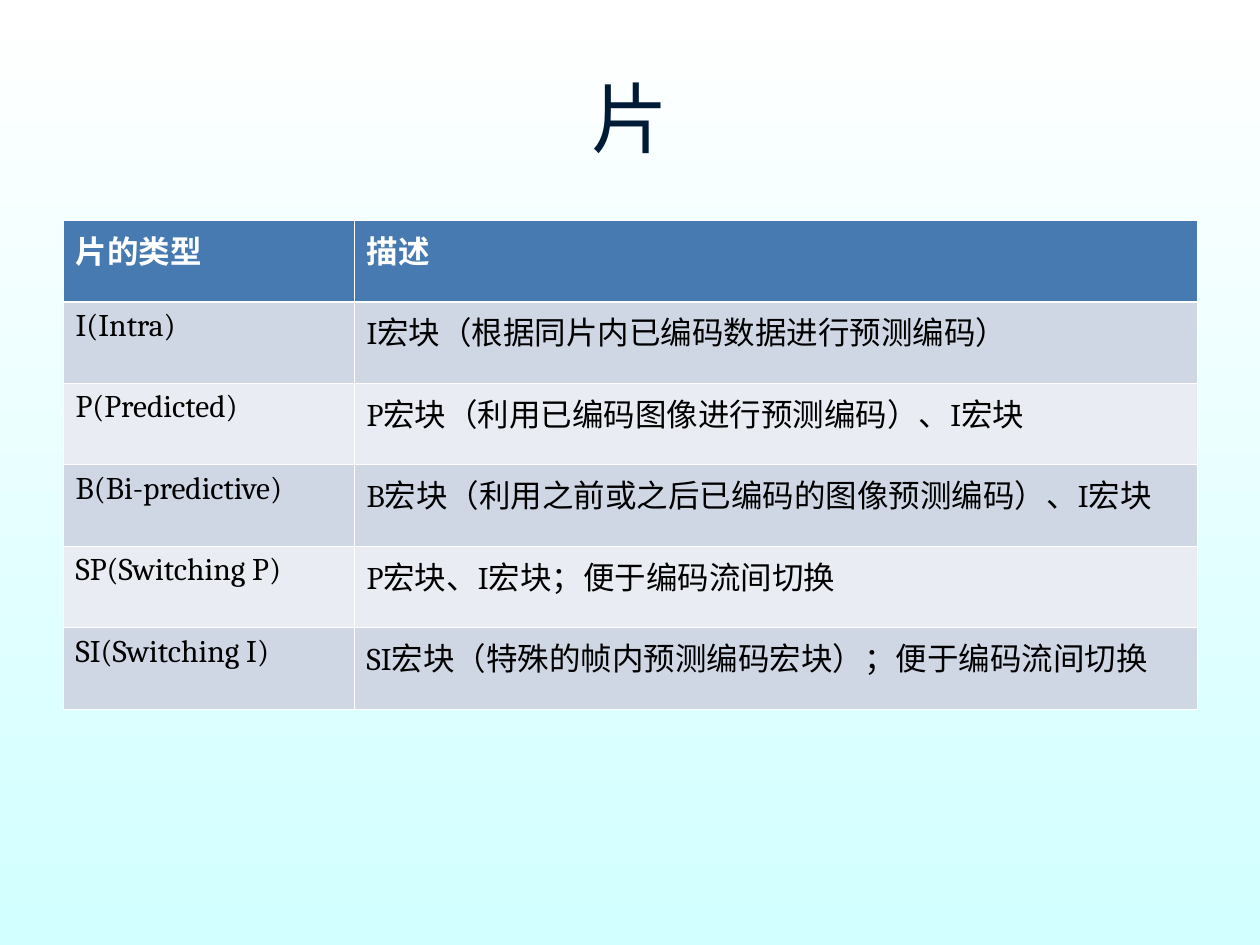
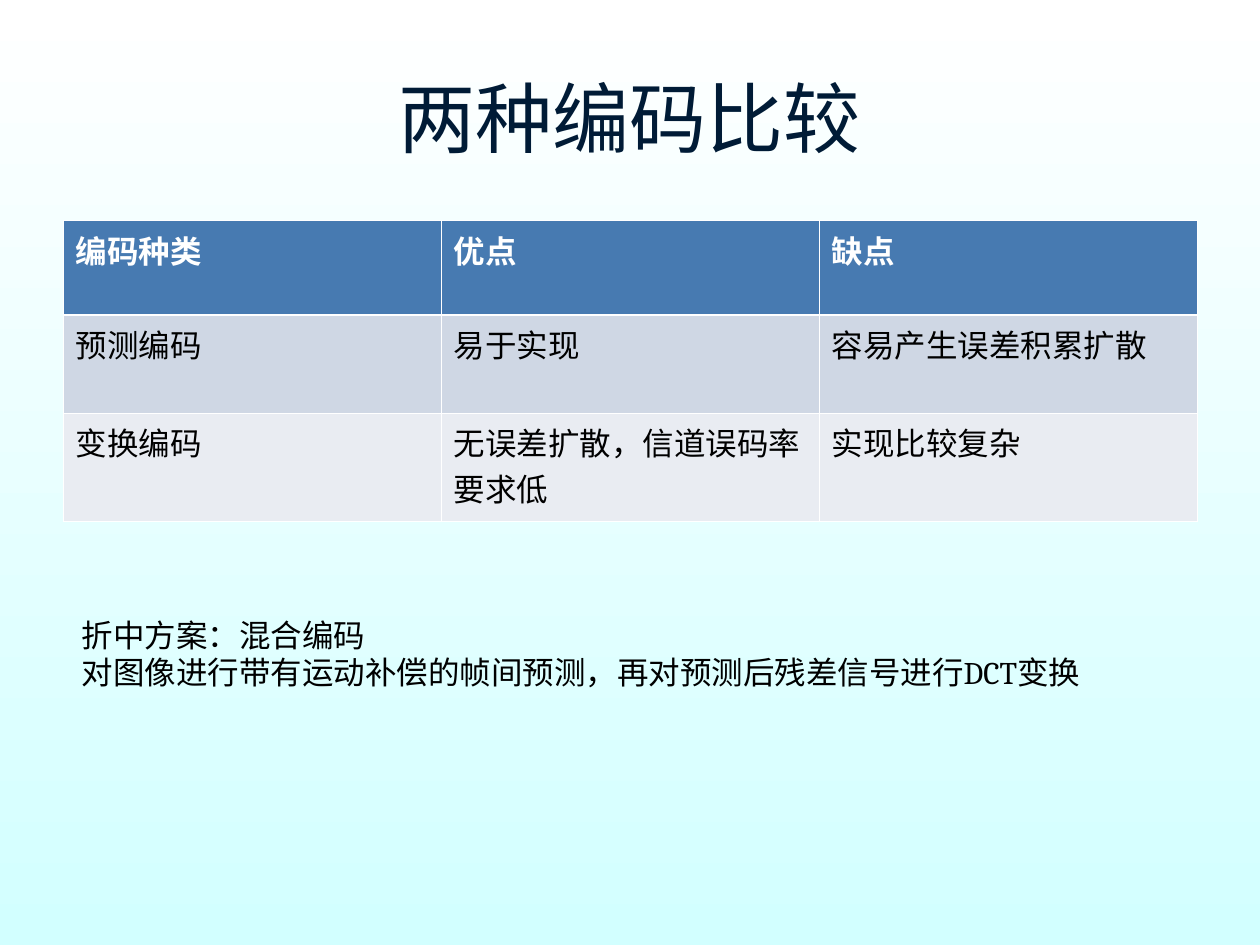
from lxml.etree import SubElement
from pptx import Presentation
from pptx.dml.color import RGBColor
from pptx.enum.text import MSO_ANCHOR, PP_ALIGN
from pptx.oxml.ns import qn
from pptx.util import Inches, Pt

# Shared look
WHITE = RGBColor(0xFF, 0xFF, 0xFF)
BLACK = RGBColor(0, 0, 0)
NAVY = RGBColor(0x00, 0x1B, 0x36)
BLUE = RGBColor(0x47, 0x7A, 0xB1)
BANDS = (RGBColor(0xCF, 0xD7, 0xE4), RGBColor(0xE9, 0xEC, 0xF2))
AQUA = RGBColor(0xD2, 0xFF, 0xFF)
HEAD, BODY = "Lato", "Cambria"
WIDE, HIGH = Inches(10), Inches(7.5)
EDGE, SPAN = 0.05, 0.9  # side margin and content width, shares of the slide
TOP = 0.233  # top of every table
THIN, THICK = Pt(0.45), Pt(1.47)

# Table contents
SLICES = [
    ("片的类型", "描述"),
    ("I(Intra)", "I宏块（根据同片内已编码数据进行预测编码）"),
    ("P(Predicted)", "P宏块（利用已编码图像进行预测编码）、I宏块"),
    ("B(Bi-predictive)", "B宏块（利用之前或之后已编码的图像预测编码）、I宏块"),
    ("SP(Switching P)", "P宏块、I宏块；便于编码流间切换"),
    ("SI(Switching I)", "SI宏块（特殊的帧内预测编码宏块）；便于编码流间切换"),
]
CODES = [
    ("编码种类", "优点", "缺点"),
    ("预测编码", "易于实现", "容易产生误差积累扩散"),
    ("变换编码", "无误差扩散，信道误码率要求低", "实现比较复杂"),
]
NOTE = ["折中方案：混合编码",
        "对图像进行带有运动补偿的帧间预测，再对预测后残差信号进行DCT变换"]


def area(left, top, width, height):
    """Turn shares of the slide into lengths."""
    return (int(WIDE * left), int(HIGH * top),
            int(WIDE * width), int(HIGH * height))


def write(frame, *lines, size=18, font=BODY, color=BLACK, bold=False,
          align=PP_ALIGN.LEFT, space=None):
    for i, line in enumerate(lines):
        para = frame.add_paragraph() if i else frame.paragraphs[0]
        para.alignment = align
        para.line_spacing = space
        run = para.add_run()
        run.text = line
        run.font.size = Pt(size)
        run.font.name = font
        run.font.bold = bold
        run.font.color.rgb = color


def paint(master):
    """Give the master its vertical gradient."""
    fill = master.background.fill
    fill.gradient()
    fill.gradient_angle = 270
    for stop, color in zip(fill.gradient_stops, (WHITE, AQUA)):
        stop.color.rgb = color


def start(deck, title):
    slide = deck.slides.add_slide(deck.slide_layouts[5])
    shape = slide.shapes.title
    shape.left, shape.top, shape.width, shape.height = area(
        EDGE, 0.04, SPAN, 0.167)
    shape.text_frame.vertical_anchor = MSO_ANCHOR.MIDDLE
    write(shape.text_frame, title, size=44, font=HEAD, color=NAVY,
          align=PP_ALIGN.CENTER)
    return slide


def border(cell, **sides):
    """Draw white cell edges; they must precede the fill."""
    props = cell._tc.get_or_add_tcPr()
    for side, width in sides.items():
        line = SubElement(props, qn(f"a:ln{side}"), w=str(int(width)))
        fill = SubElement(line, qn("a:solidFill"))
        SubElement(fill, qn("a:srgbClr"), val=str(WHITE))


def grid(slide, rows, cols, heights):
    """Add a banded table; cols and heights are in inches."""
    box = area(EDGE, TOP, SPAN, sum(heights) / 7.5)
    table = slide.shapes.add_table(len(rows), len(cols), *box).table
    for col, width in zip(table.columns, cols):
        col.width = Inches(width)
    for r, (row, height) in enumerate(zip(rows, heights)):
        table.rows[r].height = Inches(height)
        top = r == 0
        for c, text in enumerate(row):
            cell = table.cell(r, c)
            border(cell, L=THIN, R=THIN, T=THICK if r == 1 else THIN,
                   B=THICK if top else THIN)
            cell.fill.solid()
            cell.fill.fore_color.rgb = BLUE if top else BANDS[(r - 1) % 2]
            write(cell.text_frame, text, bold=top,
                  color=WHITE if top else BLACK)


def note(slide, lines):
    box = slide.shapes.add_textbox(*area(0.055, 0.645, 0.891, 0.093))
    box.text_frame.word_wrap = True
    write(box.text_frame, *lines, space=Pt(21.6))


def main():
    deck = Presentation()
    deck.slide_width, deck.slide_height = WIDE, HIGH
    paint(deck.slide_master)

    # Slice types
    slide = start(deck, "片")
    grid(slide, SLICES, (2.31, 6.69), [0.647] * len(SLICES))

    # Coding methods
    slide = start(deck, "两种编码比较")
    grid(slide, CODES, (3, 3, 3), (0.75, 0.78, 0.86))
    note(slide, NOTE)

    deck.save("out.pptx")


if __name__ == "__main__":
    main()
